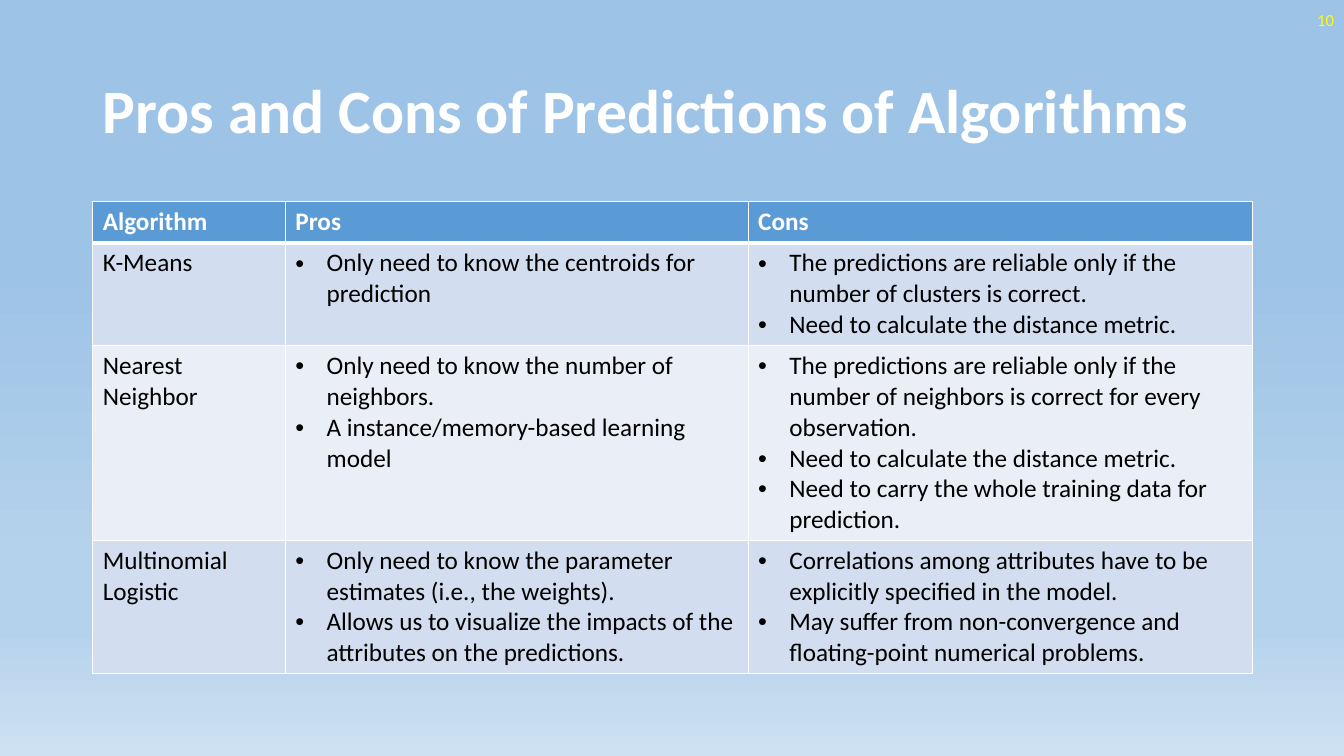
from lxml.etree import SubElement
from pptx import Presentation
from pptx.dml.color import RGBColor
from pptx.enum.text import MSO_ANCHOR, PP_ALIGN
from pptx.oxml.ns import qn
from pptx.util import Inches, Pt

WHITE = RGBColor(0xFF, 0xFF, 0xFF)
BLACK = RGBColor(0x00, 0x00, 0x00)
YELLOW = RGBColor(0xFF, 0xFF, 0x00)
HEADER_BLUE = RGBColor(0x5B, 0x9B, 0xD5)
BAND_DARK = RGBColor(0xD2, 0xDE, 0xEF)
BAND_LIGHT = RGBColor(0xEA, 0xEF, 0xF7)
SKY = RGBColor(0x9D, 0xC3, 0xE6)
PALE_SKY = RGBColor(0xB5, 0xD2, 0xEC)
HORIZON = RGBColor(0xCE, 0xE1, 0xF2)
BACKGROUND_STOPS = [(35, SKY), (74, PALE_SKY), (83, PALE_SKY), (100, HORIZON)]

COLUMN_WIDTHS = [1.91, 4.59, 5]
ROW_HEIGHTS = [0.41, 1.02, 1.93, 1.32]
HEADINGS = ["Algorithm", "Pros", "Cons"]
ALGORITHMS = [
    ("K-Means",
     ["Only need to know the centroids for prediction"],
     ["The predictions are reliable only if the number of clusters is correct.",
      "Need to calculate the distance metric."]),
    ("Nearest Neighbor",
     ["Only need to know the number of neighbors.",
      "A instance/memory-based learning model"],
     ["The predictions are reliable only if the number of neighbors is correct "
      "for every observation.",
      "Need to calculate the distance metric.",
      "Need to carry the whole training data for prediction."]),
    ("Multinomial Logistic",
     ["Only need to know the parameter estimates (i.e., the weights).",
      "Allows us to visualize the impacts of the attributes on the predictions."],
     ["Correlations among attributes have to be explicitly specified in the model.",
      "May suffer from non-convergence and floating-point numerical problems."]),
]


def write_text(text_frame, lines, size=18, color=BLACK, bold=False,
               bullet=False, align=PP_ALIGN.LEFT, line_spacing=None):
    text_frame.word_wrap = True
    for index, line in enumerate(lines):
        paragraph = text_frame.paragraphs[0] if index == 0 else text_frame.add_paragraph()
        paragraph.alignment = align
        if line_spacing:
            paragraph.line_spacing = line_spacing
        if bullet:
            properties = paragraph._p.get_or_add_pPr()
            properties.set("marL", str(Inches(0.31)))
            properties.set("indent", str(-Inches(0.31)))
            SubElement(properties, qn("a:buFont"), typeface="Arial")
            SubElement(properties, qn("a:buChar"), char="•")
        run = paragraph.add_run()
        run.text = line
        run.font.name = "Calibri"
        run.font.size = Pt(size)
        run.font.bold = bold
        run.font.color.rgb = color


def add_border(cell, side, width):
    line = SubElement(cell._tc.get_or_add_tcPr(), qn(f"a:ln{side}"), w=str(Pt(width)))
    fill = SubElement(line, qn("a:solidFill"))
    SubElement(fill, qn("a:srgbClr"), val=str(WHITE))


presentation = Presentation()
presentation.slide_width = Inches(13.33)
presentation.slide_height = Inches(7.5)
slide = presentation.slides.add_slide(presentation.slide_layouts[6])

background = slide.background.fill
background.gradient()
background.gradient_angle = 270
stop_list = slide._element.find(".//" + qn("a:gsLst"))
for stop in list(stop_list):
    stop_list.remove(stop)
for position, color in BACKGROUND_STOPS:
    stop = SubElement(stop_list, qn("a:gs"), pos=str(position * 1000))
    SubElement(stop, qn("a:srgbClr"), val=str(color))

title = slide.shapes.add_textbox(Inches(0.92), Inches(0.4), Inches(11.5), Inches(1.45))
title.text_frame.vertical_anchor = MSO_ANCHOR.MIDDLE
write_text(title.text_frame, ["Pros and Cons of Predictions of Algorithms"],
           size=44, color=WHITE, bold=True, line_spacing=0.9)

table = slide.shapes.add_table(
    len(ROW_HEIGHTS), len(COLUMN_WIDTHS), Inches(0.92), Inches(2),
    Inches(sum(COLUMN_WIDTHS)), Inches(sum(ROW_HEIGHTS))).table
for column, width in zip(table.columns, COLUMN_WIDTHS):
    column.width = Inches(width)
for row, height in zip(table.rows, ROW_HEIGHTS):
    row.height = Inches(height)

content = [[[heading] for heading in HEADINGS]]
content += [[[name], pros, cons] for name, pros, cons in ALGORITHMS]
for row_index, row_content in enumerate(content):
    is_header = row_index == 0
    band = BAND_DARK if row_index % 2 else BAND_LIGHT
    for column_index, lines in enumerate(row_content):
        cell = table.cell(row_index, column_index)
        write_text(cell.text_frame, lines, color=WHITE if is_header else BLACK,
                   bold=is_header, bullet=not is_header and column_index > 0)
        add_border(cell, "L", 1)
        add_border(cell, "R", 1)
        add_border(cell, "T", 3 if row_index == 1 else 1)
        add_border(cell, "B", 3 if is_header else 1)
        cell.fill.solid()
        cell.fill.fore_color.rgb = HEADER_BLUE if is_header else band

page_number = slide.shapes.add_textbox(Inches(10.33), Inches(0), Inches(3), Inches(0.4))
page_number.text_frame.vertical_anchor = MSO_ANCHOR.MIDDLE
write_text(page_number.text_frame, ["10"], size=12, color=YELLOW, align=PP_ALIGN.RIGHT)

presentation.save("out.pptx")
